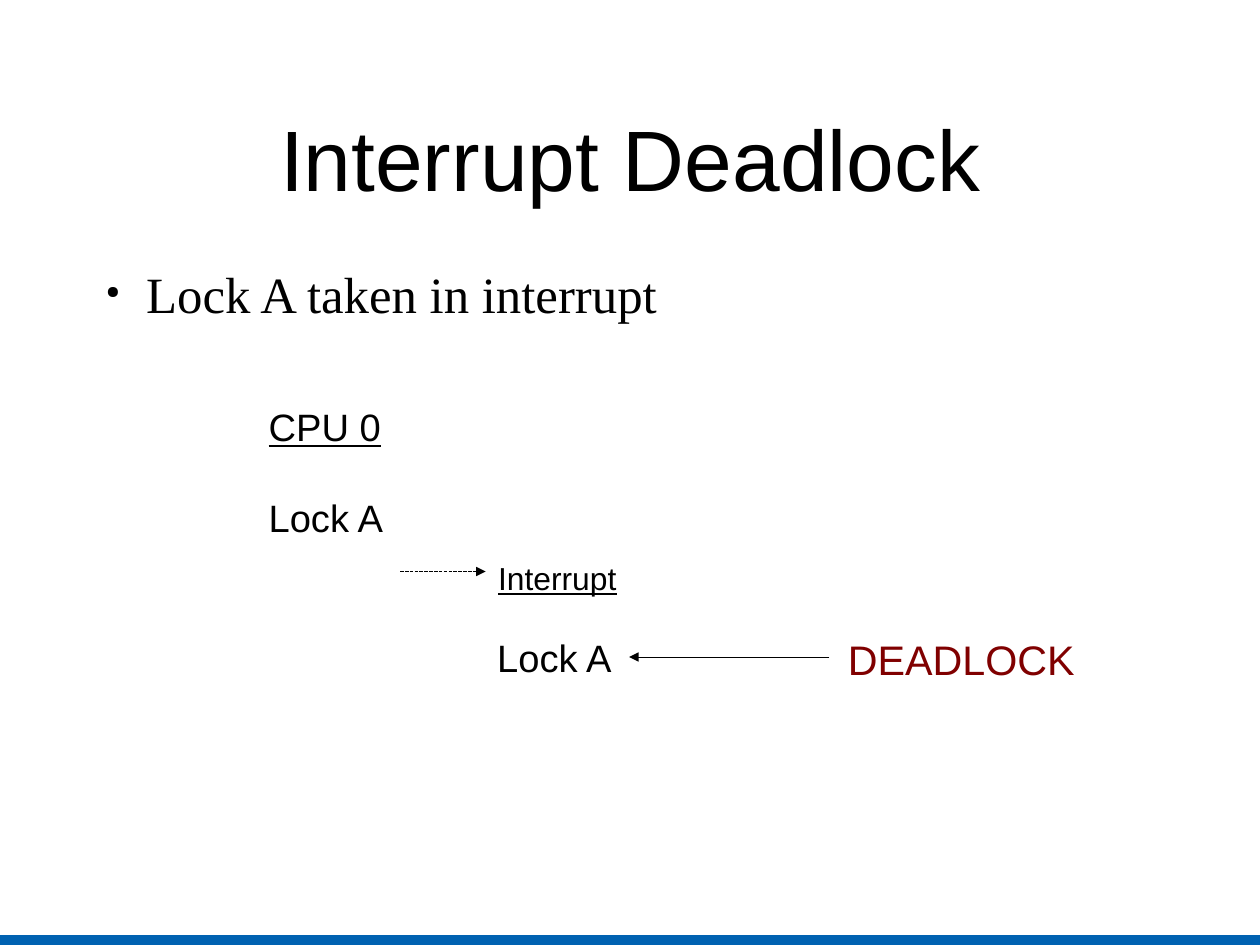
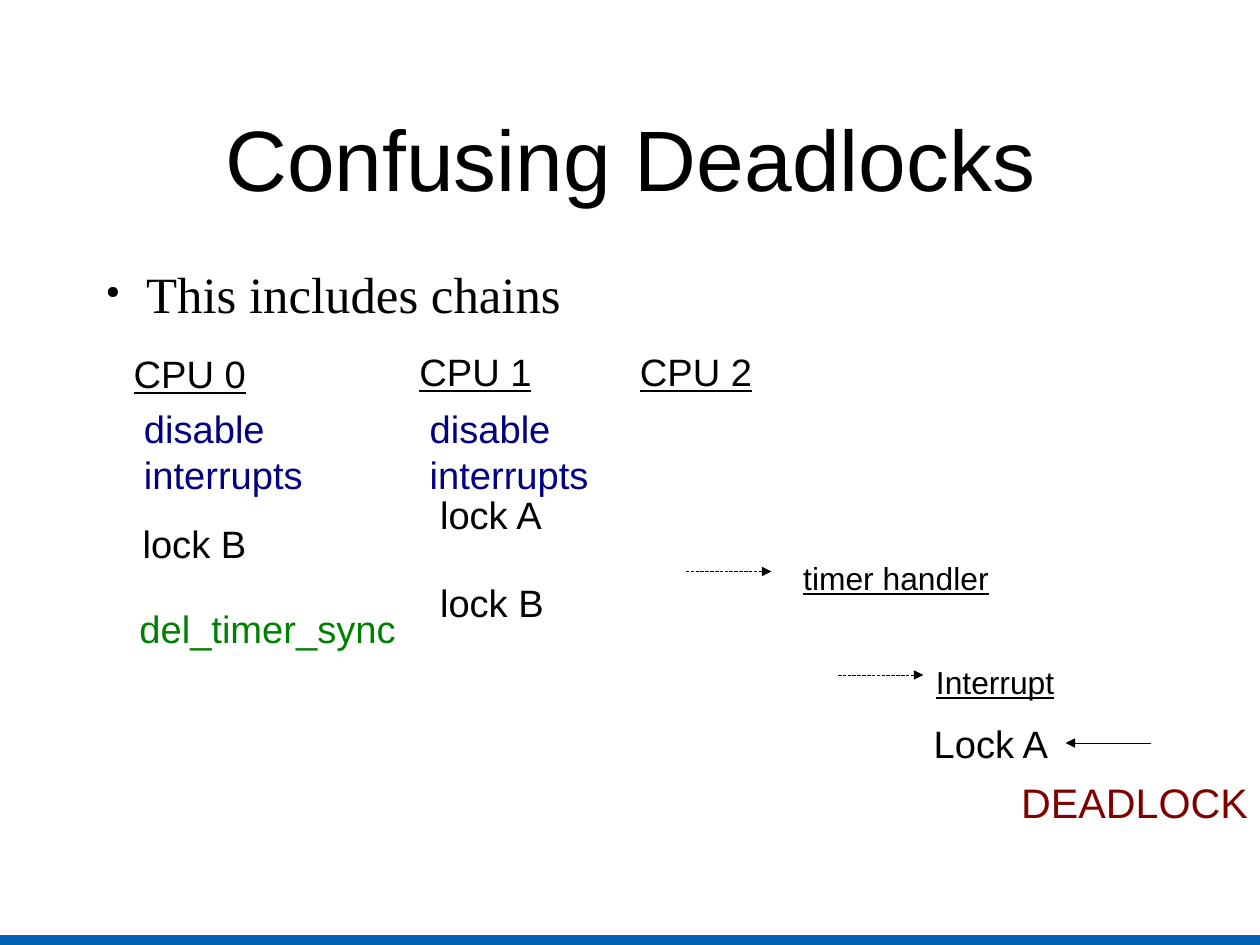
from lxml.etree import SubElement
from pptx import Presentation
from pptx.dml.color import RGBColor
from pptx.enum.dml import MSO_LINE
from pptx.enum.shapes import MSO_CONNECTOR as CONNECTOR, MSO_SHAPE as SHAPE
from pptx.enum.text import MSO_ANCHOR as ANCHOR, PP_ALIGN as ALIGN
from pptx.oxml.ns import qn
from pptx.util import Cm, Pt

BLACK = RGBColor(0x00, 0x00, 0x00)
BAND_BLUE = RGBColor(0x00, 0x62, 0xB1)
NAVY = RGBColor(0x00, 0x00, 0x80)
GREEN = RGBColor(0x00, 0x80, 0x00)
MAROON = RGBColor(0x80, 0x00, 0x00)
SANS, SERIF = "Arial", "Times New Roman"
PAGE_W, PAGE_H, BAND_H = 28.0, 21.0, 0.22
CONTENT_LEFT, CONTENT_W = 2.06, 23.9
ARROW_W = 1.9
DISABLE = "disable\ninterrupts"
LABEL_WIDTHS = {
    "CPU 0": 3.0, "CPU 1": 3.0, "CPU 2": 3.0, "Lock A": 3.05,
    "lock A": 2.77, "lock B": 2.82, DISABLE: 4.04, "del_timer_sync": 6.2,
    "Interrupt": 3.12, "timer handler": 4.62, "DEADLOCK": 5.56,
}


def style(paragraph, size, font=SANS, color=BLACK, underline=None):
    """Format every run of a paragraph."""
    for run in paragraph.runs:
        run.font.size = Pt(size)
        run.font.name = font
        run.font.color.rgb = color
        run.font.underline = underline


def add_frame(slide, left, top, width, height, inset=True):
    """Add a text box and return its text frame."""
    frame = slide.shapes.add_textbox(Cm(left), Cm(top), Cm(width), Cm(height)).text_frame
    frame.word_wrap = True
    if not inset:
        frame.margin_left = frame.margin_right = frame.margin_top = frame.margin_bottom = 0
    return frame


def add_label(slide, text, left, top, size=24, color=BLACK, underline=None):
    """Place a diagram label with spare room on its right."""
    lines = text.split("\n")
    frame = add_frame(slide, left, top, LABEL_WIDTHS[text], 0.25 + len(lines) * size * 0.04)
    frame.margin_right = 0
    frame.text = text
    for paragraph in frame.paragraphs:
        style(paragraph, size, color=color, underline=underline)


def add_arrow(slide, start, end, top, dashed=False):
    """Draw a horizontal hairline arrow from start to end."""
    arrow = slide.shapes.add_connector(CONNECTOR.STRAIGHT, Cm(start), Cm(top), Cm(end), Cm(top))
    arrow.line.color.rgb = BLACK
    if dashed:
        arrow.line.dash_style = MSO_LINE.SQUARE_DOT
    properties = arrow._element.spPr
    outline = properties.find(qn("a:ln"))
    outline.set("w", "0")
    SubElement(outline, qn("a:tailEnd"), type="triangle")
    SubElement(properties, qn("a:effectLst"))


def add_bullet(paragraph):
    """Give a paragraph a small round bullet with a hanging indent."""
    properties = paragraph._p.get_or_add_pPr()
    properties.set("marL", str(Cm(1.19)))
    properties.set("indent", str(Cm(-0.89)))
    bullet_color = SubElement(properties, qn("a:buClr"))
    SubElement(bullet_color, qn("a:srgbClr"), val=str(BLACK))
    SubElement(properties, qn("a:buSzPct"), val="34000")
    SubElement(properties, qn("a:buChar"), char="●")


def add_topic(deck, title, point):
    """Add a slide with the bottom band, a title and one bullet point."""
    slide = deck.slides.add_slide(deck.slide_layouts[6])
    band = slide.shapes.add_shape(
        SHAPE.RECTANGLE, 0, Cm(PAGE_H - BAND_H), Cm(PAGE_W), Cm(BAND_H))
    band.shadow.inherit = False
    band.fill.solid()
    band.fill.fore_color.rgb = BAND_BLUE
    band.line.fill.background()

    heading = add_frame(slide, CONTENT_LEFT, 1.75, CONTENT_W, 3.5, inset=False)
    heading.vertical_anchor = ANCHOR.MIDDLE
    heading.text = title
    heading.paragraphs[0].alignment = ALIGN.CENTER
    style(heading.paragraphs[0], 54)

    body = add_frame(slide, CONTENT_LEFT, 5.84, CONTENT_W, 12.98, inset=False)
    body.text = point
    add_bullet(body.paragraphs[0])
    body.paragraphs[0].space_after = Pt(14.2)
    style(body.paragraphs[0], 32, SERIF)
    return slide


def add_cpu(slide, left, top, name, steps=()):
    """Draw a CPU heading and its steps at offsets from the heading."""
    add_label(slide, name, left, top, underline=True)
    for text, across, down, color in steps:
        add_label(slide, text, left + across, top + down, color=color)


def add_interrupt(slide, left, top, name, gap=1.93):
    """Draw a dashed arrow that leads to an underlined handler name."""
    add_arrow(slide, left, left + ARROW_W, top, dashed=True)
    add_label(slide, name, left + gap, top - 0.4, size=20, underline=True)


def add_deadlock(slide, left, top, reach, across, down):
    """Draw the blocked lock, the arrow back to it and the deadlock caption."""
    add_label(slide, "Lock A", left, top)
    tip = left + 3.18
    add_arrow(slide, tip + reach, tip, top + 0.63)
    add_label(slide, "DEADLOCK", left + across, top + down, size=26, color=MAROON)


def build_interrupt_deadlock(deck):
    """Build the slide with one CPU and one interrupt."""
    slide = add_topic(deck, "Interrupt Deadlock", "Lock A taken in interrupt")
    add_cpu(slide, 5.72, 8.84, "CPU 0", [("Lock A", 0, 2.03, BLACK)])
    add_interrupt(slide, 8.89, 12.7, "Interrupt")
    add_deadlock(slide, 10.8, 13.97, reach=4.45, across=7.79, down=0)


def build_confusing_deadlocks(deck):
    """Build the slide with a chain over three CPUs."""
    slide = add_topic(deck, "Confusing Deadlocks", "This includes chains")
    add_cpu(slide, 2.72, 7.67, "CPU 0", [
        (DISABLE, 0.23, 1.22, NAVY),
        ("lock B", 0.2, 3.76, BLACK),
        ("del_timer_sync", 0.13, 5.66, GREEN),
    ])
    add_cpu(slide, 9.07, 7.62, "CPU 1", [
        (DISABLE, 0.23, 1.27, NAVY),
        ("lock A", 0.46, 3.18, BLACK),
        ("lock B", 0.46, 5.13, BLACK),
    ])
    add_cpu(slide, 13.97, 7.62, "CPU 2")
    add_interrupt(slide, 15.24, 12.7, "timer handler", gap=2.36)
    add_interrupt(slide, 18.62, 15.0, "Interrupt")
    add_deadlock(slide, 20.5, 15.88, reach=ARROW_W, across=1.94, down=1.27)


def main():
    """Build and save the deck."""
    deck = Presentation()
    deck.slide_width, deck.slide_height = Cm(PAGE_W), Cm(PAGE_H)
    build_interrupt_deadlock(deck)
    build_confusing_deadlocks(deck)
    deck.save("out.pptx")


if __name__ == "__main__":
    main()
